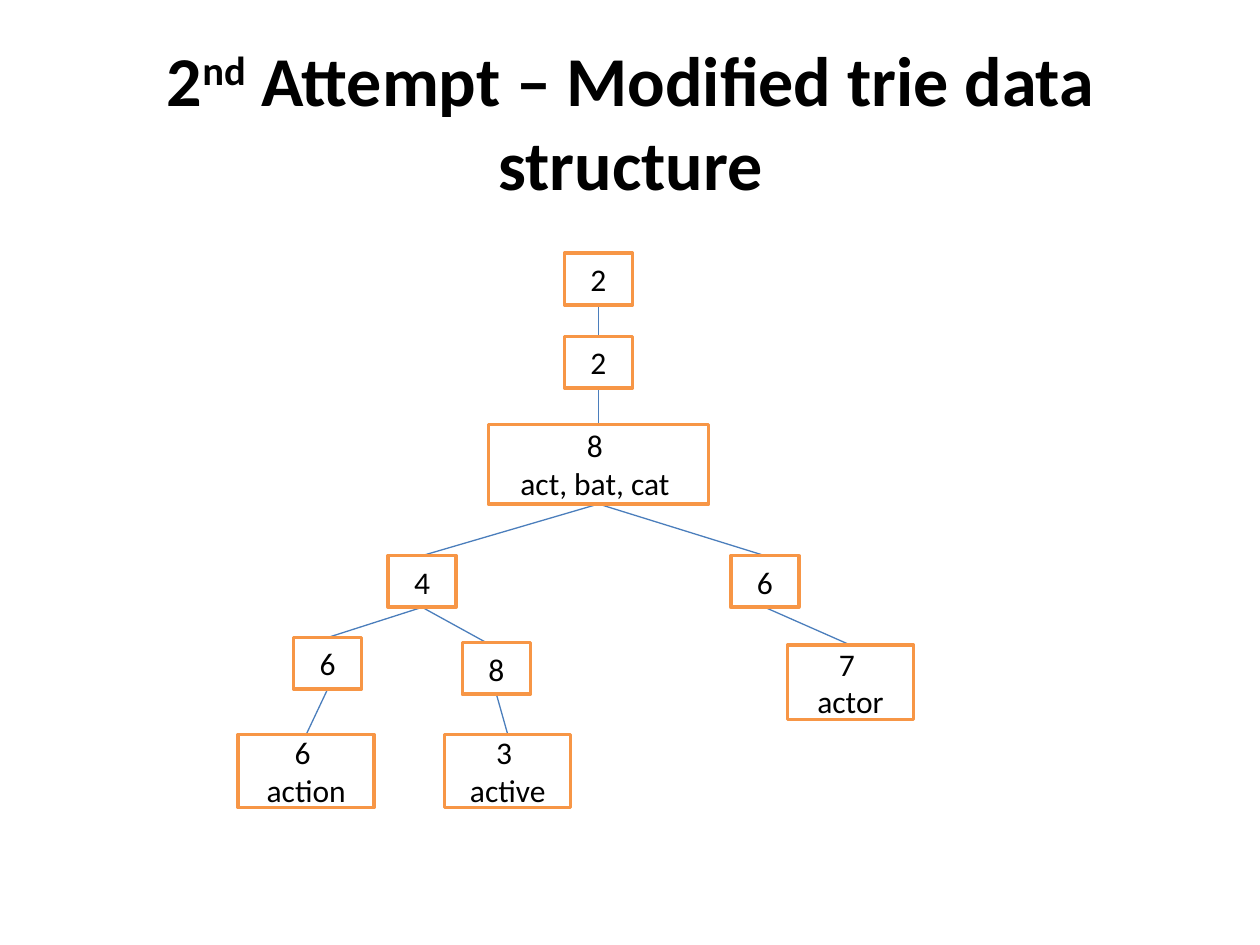
"""Build a slide that shows a modified trie as a tree of numbered boxes."""
from lxml.etree import SubElement
from pptx import Presentation
from pptx.dml.color import RGBColor
from pptx.enum.shapes import MSO_CONNECTOR, MSO_SHAPE
from pptx.enum.text import MSO_ANCHOR, MSO_AUTO_SIZE, PP_ALIGN
from pptx.oxml.ns import qn
from pptx.util import Inches, Pt

BLACK = RGBColor(0x00, 0x00, 0x00)
WHITE = RGBColor(0xFF, 0xFF, 0xFF)
ORANGE = RGBColor(0xF7, 0x96, 0x46)
BLUE = RGBColor(0x4B, 0x7E, 0xBC)


def add_span(para, text, size=18, bold=False, baseline=0):
    para.alignment = PP_ALIGN.CENTER
    span = para.add_run()
    span.text = text
    span.font.name = "Calibri"
    span.font.size = Pt(size)
    span.font.bold = bold
    span.font.color.rgb = BLACK
    if baseline:
        span.font._element.set("baseline", str(baseline * 1000))


deck = Presentation()
deck.slide_width, deck.slide_height = Inches(10), Inches(7.5)
page = deck.slides.add_slide(deck.slide_layouts[5])

title = page.shapes.title
title.left, title.top = Inches(0.42), Inches(0.58)
title.width, title.height = Inches(9.17), Inches(0.75)
title.text_frame.word_wrap = True
title.text_frame.auto_size = MSO_AUTO_SIZE.NONE
title.text_frame.vertical_anchor = MSO_ANCHOR.MIDDLE
for text, baseline in [("2", 0), ("nd", 30), (" Attempt – Modified trie data structure", 0)]:
    add_span(title.text_frame.paragraphs[0], text, size=40, bold=True, baseline=baseline)

SMALL = (0.54, 0.41)
nodes = {
    "root": (4.75, 2.01, SMALL, ["2"]),
    "second": (4.75, 2.67, SMALL, ["2"]),
    "act": (4.75, 3.37, (1.75, 0.63), ["8 ", "act, bat, cat "]),
    "left": (3.35, 4.41, SMALL, ["4"]),
    "right": (6.07, 4.41, SMALL, ["6"]),
    "acti": (2.6, 5.06, SMALL, ["6"]),
    "activ": (3.94, 5.1, SMALL, ["8"]),
    "action": (2.43, 5.83, (1.08, 0.58), ["6 ", "action"]),
    "active": (4.03, 5.83, (1, 0.58), ["3 ", "active"]),
    "actor": (6.75, 5.12, (1, 0.59), ["7 ", "actor"]),
}
edges = [
    ("root", "second", 0), ("second", "act", 0),
    ("act", "left", 0), ("act", "right", 0),
    ("left", "acti", 0), ("left", "activ", -0.08), ("right", "actor", 0),
    ("acti", "action", 0), ("activ", "active", 0),
]

for parent, child, shift in edges:
    parent_center, parent_top, (_, parent_height), _ = nodes[parent]
    child_center, child_top, _, _ = nodes[child]
    edge = page.shapes.add_connector(
        MSO_CONNECTOR.STRAIGHT,
        Inches(parent_center), Inches(parent_top + parent_height),
        Inches(child_center + shift), Inches(child_top))
    edge.line.color.rgb = BLUE
    edge.line.width = Pt(0.75)
    SubElement(edge._element.spPr, qn("a:effectLst"))

for center, top, (width, height), lines in nodes.values():
    box = page.shapes.add_shape(
        MSO_SHAPE.RECTANGLE, Inches(center - width / 2), Inches(top),
        Inches(width), Inches(height))
    box.shadow.inherit = False
    box.fill.solid()
    box.fill.fore_color.rgb = WHITE
    box.line.color.rgb = ORANGE
    box.line.width = Pt(2)
    frame = box.text_frame
    frame.word_wrap = True
    frame.vertical_anchor = MSO_ANCHOR.MIDDLE
    for index, text in enumerate(lines):
        para = frame.add_paragraph() if index else frame.paragraphs[0]
        add_span(para, text)

deck.save("out.pptx")
